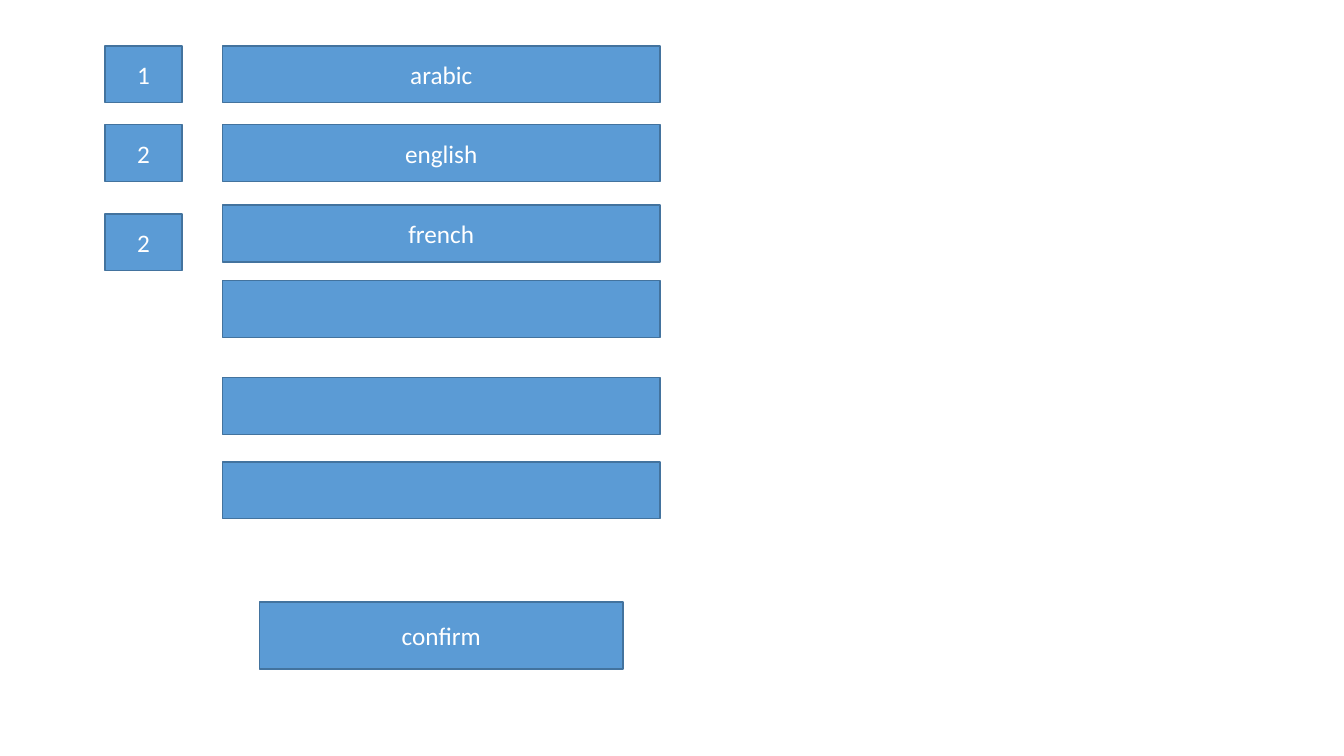
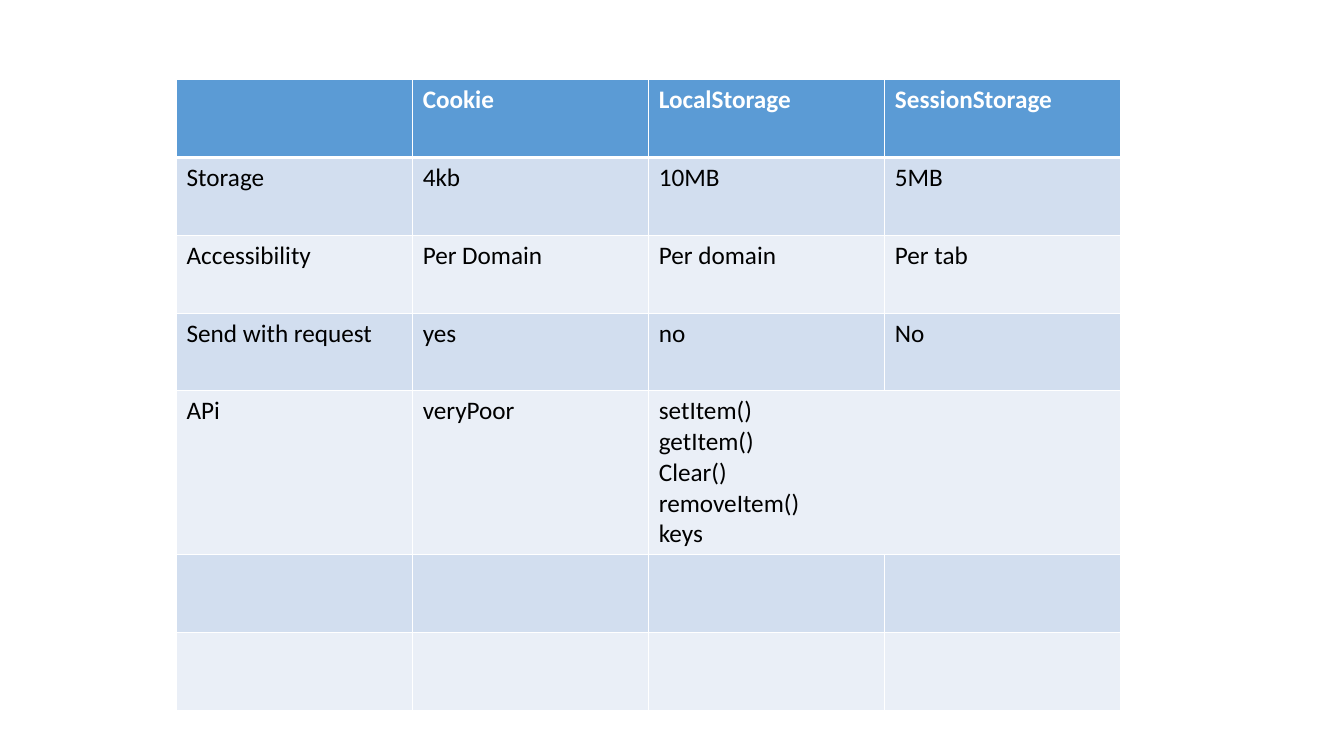
from dataclasses import dataclass

from lxml import etree
from pptx import Presentation
from pptx import util as u
from pptx.dml.color import RGBColor
from pptx.enum import shapes, text
from pptx.oxml.ns import qn


@dataclass(frozen=True)
class Theme:
    font: str = "Calibri"
    size: int = 18
    accent: str = "5B9BD5"
    outline: str = "43739E"
    band_dark: str = "D2DEEF"
    band_light: str = "EAEFF7"
    white: str = "FFFFFF"
    black: str = "000000"
    thin: int = 1
    thick: int = 3


T = Theme()


def write(tf, content, color=T.white, bold=False, align=text.PP_ALIGN.LEFT):
    for i, line in enumerate(content.split("\n")):
        p = tf.paragraphs[0] if i == 0 else tf.add_paragraph()
        p.alignment = align
        if line:
            r = p.add_run()
            r.text = line
            r.font.name = T.font
            r.font.size = u.Pt(T.size)
            r.font.bold = bold
            r.font.color.rgb = RGBColor.from_string(color)


def add_border(cell, side, width):
    ln = etree.SubElement(cell._tc.get_or_add_tcPr(), qn(f"a:ln{side}"), w=str(u.Pt(width)))
    fill = etree.SubElement(ln, qn("a:solidFill"))
    etree.SubElement(fill, qn("a:srgbClr"), val=T.white)


prs = Presentation()
prs.slide_width, prs.slide_height = u.Cm(33.87), u.Cm(19.05)
blank = prs.slide_layouts[6]

s = prs.slides.add_slide(blank)
bar_x, bar_w, bar_h = 5.61, 11.02, 1.43
number_x, number_w = 2.65, 1.94
bars = [("arabic", 1.16), ("english", 3.14), ("french", 5.17), ("", 7.07), ("", 9.52), ("", 11.64)]
numbers = [("1", 1.16), ("2", 3.14), ("2", 5.39)]
boxes = [(label, bar_x, y, bar_w, bar_h) for label, y in bars]
boxes += [(label, number_x, y, number_w, bar_h) for label, y in numbers]
boxes.append(("confirm", 6.54, 15.17, 9.16, 1.69))

for label, *place in boxes:
    sp = s.shapes.add_shape(shapes.MSO_SHAPE.RECTANGLE, *map(u.Cm, place))
    sp.shadow.inherit = False
    sp.fill.solid()
    sp.fill.fore_color.rgb = RGBColor.from_string(T.accent)
    sp.line.color.rgb = RGBColor.from_string(T.outline)
    sp.line.width = u.Pt(T.thin)
    sp.text_frame.vertical_anchor = text.MSO_ANCHOR.MIDDLE
    write(sp.text_frame, label, align=text.PP_ALIGN.CENTER)

s = prs.slides.add_slide(blank)
rows = [
    ["", "Cookie", "LocalStorage", "SessionStorage"],
    ["Storage", "4kb", "10MB", "5MB"],
    ["Accessibility", "Per Domain", "Per domain", "Per tab"],
    ["Send with request", "yes", "no", "No"],
    ["APi", "veryPoor", "setItem()\ngetItem()\nClear()\nremoveItem()\nkeys", ""],
    [""] * 4,
    [""] * 4,
]
api_row, col_w, row_h, api_h = 4, 5.95, 1.96, 4.12
heights = [api_h if i == api_row else row_h for i in range(len(rows))]
table = s.shapes.add_table(
    len(rows), 4, u.Cm(4.45), u.Cm(2.01), u.Cm(4 * col_w), u.Cm(sum(heights))
).table
table.first_row = table.horz_banding = False
for col in table.columns:
    col.width = u.Cm(col_w)
for i, values in enumerate(rows):
    table.rows[i].height = u.Cm(heights[i])
    header = i == 0
    fill = T.accent if header else T.band_dark if i % 2 else T.band_light
    for j, value in enumerate(values):
        cell = table.cell(i, j)
        for side in "LRTB":
            under_header = (i, side) in [(0, "B"), (1, "T")]
            add_border(cell, side, T.thick if under_header else T.thin)
        cell.fill.solid()
        cell.fill.fore_color.rgb = RGBColor.from_string(fill)
        write(cell.text_frame, value, color=T.white if header else T.black, bold=header)
table.cell(api_row, 2).merge(table.cell(api_row, 3))

prs.save("out.pptx")
